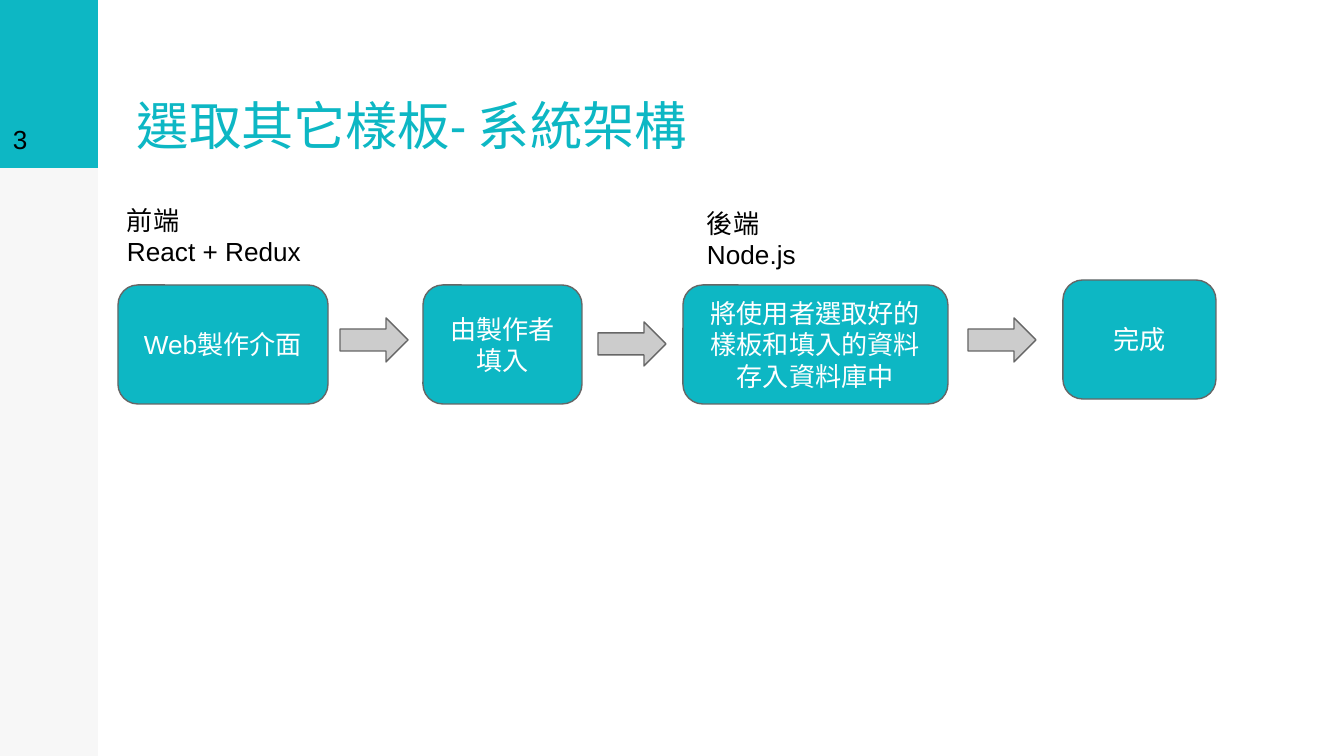
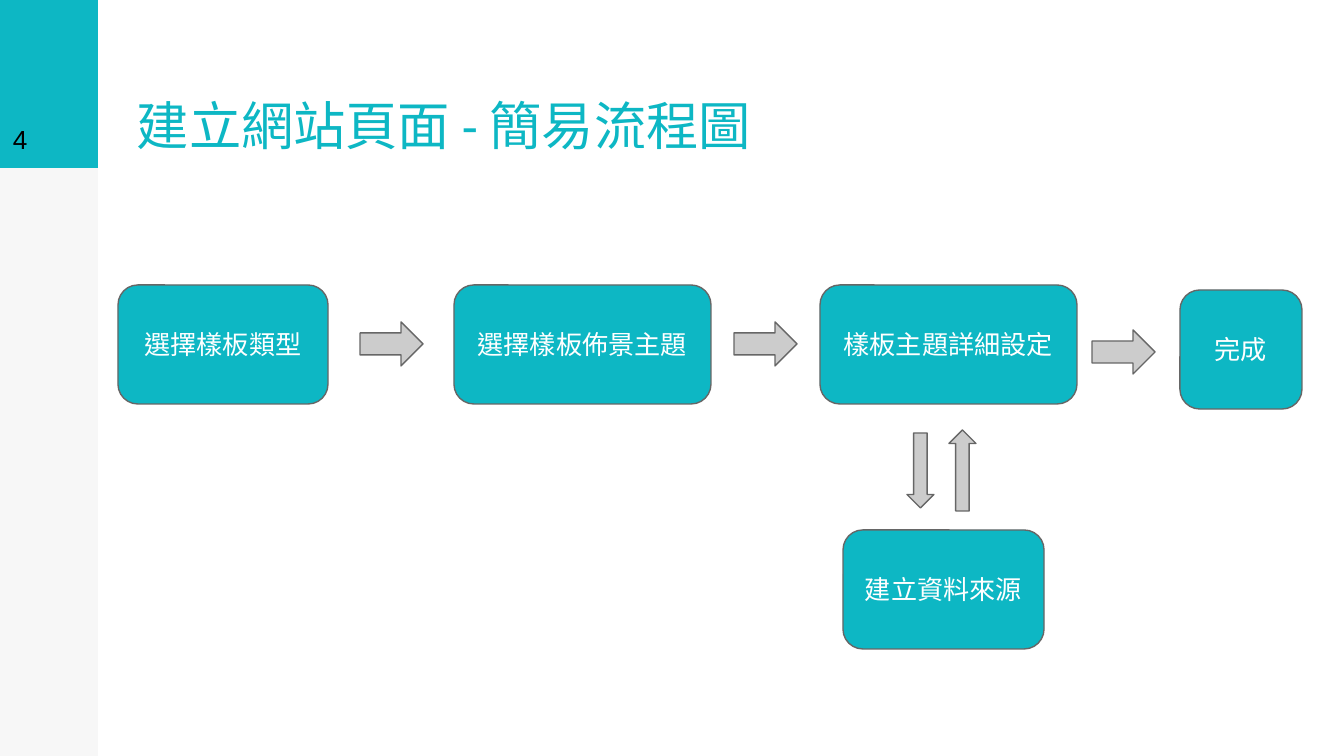
from dataclasses import dataclass

from lxml.etree import SubElement
from pptx import Presentation
from pptx.dml.color import RGBColor
from pptx.enum.lang import MSO_LANGUAGE_ID
from pptx.enum.shapes import MSO_SHAPE
from pptx.enum.text import MSO_ANCHOR, PP_ALIGN
from pptx.oxml.ns import qn
from pptx.util import Emu, Pt

SLIDE_WIDTH, SLIDE_HEIGHT = 1344, 756
EMU_PER_PX = 9144000 / SLIDE_WIDTH


def px(length):
    return Emu(round(length * EMU_PER_PX))


@dataclass(frozen=True)
class Theme:
    teal: str = "0DB7C4"
    white: str = "FFFFFF"
    black: str = "000000"
    arrow: str = "CCCCCC"
    outline: str = "666666"
    body_font: str = "Arial"
    title_font: str = "Calibri"
    body_size: int = 14
    title_size: int = 28
    outline_width: float = 0.75
    sidebar_alpha: int = 3


class FlowDeck:
    """Holds the style and the slide being drawn."""

    SIDEBAR_WIDTH = 98
    BAND_HEIGHT = 168
    STEP_TOP = 285
    STEP_HEIGHT = 119
    ARROW_HEIGHT = 44
    INSET = 13

    def __init__(self, theme):
        self.theme = theme
        self.deck = Presentation()
        self.deck.slide_width = px(SLIDE_WIDTH)
        self.deck.slide_height = px(SLIDE_HEIGHT)
        self.page = None

    def add_page(self, number, title):
        theme = self.theme
        self.page = self.deck.slides.add_slide(self.deck.slide_layouts[6])
        sidebar = self.shape(MSO_SHAPE.RECTANGLE, 0, 0, self.SIDEBAR_WIDTH,
                             SLIDE_HEIGHT, theme.black, outlined=False)
        color = sidebar._element.spPr.find(qn("a:solidFill"))[0]
        SubElement(color, qn("a:alpha"), val=str(theme.sidebar_alpha * 1000))
        band = self.shape(MSO_SHAPE.RECTANGLE, 0, 0, self.SIDEBAR_WIDTH,
                          self.BAND_HEIGHT, theme.teal, outlined=False)
        self.fill_text(band, [str(number)], anchor=MSO_ANCHOR.BOTTOM)
        self.text(124, 1, 809, self.BAND_HEIGHT, [title],
                  anchor=MSO_ANCHOR.BOTTOM, font=theme.title_font,
                  size=theme.title_size, color=theme.teal)

    def shape(self, kind, left, top, width, height, fill, outlined=True):
        shape = self.page.shapes.add_shape(
            kind, px(left), px(top), px(width), px(height))
        shape.shadow.inherit = False
        shape.fill.solid()
        shape.fill.fore_color.rgb = RGBColor.from_string(fill)
        if outlined:
            shape.line.color.rgb = RGBColor.from_string(self.theme.outline)
            shape.line.width = Pt(self.theme.outline_width)
        else:
            shape.line.fill.background()
        return shape

    def text(self, left, top, width, height, lines, **style):
        box = self.page.shapes.add_textbox(
            px(left), px(top), px(width), px(height))
        self.fill_text(box, lines, **style)

    def fill_text(self, box, lines, anchor=MSO_ANCHOR.TOP,
                  align=PP_ALIGN.LEFT, font=None, size=None, color=None):
        theme = self.theme
        font = font or theme.body_font
        frame = box.text_frame
        frame_format = {"word_wrap": True, "vertical_anchor": anchor}
        for side in ("left", "top", "right", "bottom"):
            frame_format[f"margin_{side}"] = px(self.INSET)
        for name, value in frame_format.items():
            setattr(frame, name, value)
        font_format = {
            "name": font,
            "size": Pt(size or theme.body_size),
            "language_id": MSO_LANGUAGE_ID.TRADITIONAL_CHINESE,
        }
        for index, line in enumerate(lines):
            para = frame.add_paragraph() if index else frame.paragraphs[0]
            para.alignment = align
            span = para.add_run()
            span.text = line
            for name, value in font_format.items():
                setattr(span.font, name, value)
            span.font.color.rgb = RGBColor.from_string(color or theme.black)
            SubElement(span._r.rPr, qn("a:ea"), typeface=font)

    def step(self, left, width, label, top=STEP_TOP):
        box = self.shape(MSO_SHAPE.ROUNDED_RECTANGLE, left, top, width,
                         self.STEP_HEIGHT, self.theme.teal)
        self.fill_text(box, [label], anchor=MSO_ANCHOR.MIDDLE,
                       align=PP_ALIGN.CENTER, color=self.theme.white)

    def arrow(self, left, top, width, height=ARROW_HEIGHT,
              kind=MSO_SHAPE.RIGHT_ARROW):
        self.shape(kind, left, top, width, height, self.theme.arrow)

    def save(self):
        self.deck.save("out.pptx")


def draw_architecture(flow):
    flow.add_page(3, "選取其它樣板- 系統架構")
    flow.text(114, 191, 246, 94, ["前端", "React + Redux"])
    flow.text(694, 194, 122, 94, ["後端", "Node.js"])
    flow.step(118, 210, "Web製作介面")
    flow.step(423, 159, "由製作者填入")
    flow.step(683, 265, "將使用者選取好的樣板和填入的資料存入資料庫中")
    flow.step(1063, 153, "完成", top=280)
    for left, top in ((340, 318), (598, 322), (968, 318)):
        flow.arrow(left, top, 68)


def draw_page_creation(flow):
    flow.add_page(4, "建立網站頁面 - 簡易流程圖")
    flow.step(118, 210, "選擇樣板類型")
    flow.step(454, 257, "選擇樣板佈景主題")
    flow.step(820, 257, "樣板主題詳細設定")
    flow.step(1180, 122, "完成", top=290)
    flow.step(843, 201, "建立資料來源", top=530)
    for left, top in ((360, 322), (734, 322), (1092, 330)):
        flow.arrow(left, top, 63)
    flow.arrow(907, 433, 27, 75, MSO_SHAPE.DOWN_ARROW)
    flow.arrow(949, 430, 27, 81, MSO_SHAPE.UP_ARROW)


def main():
    flow = FlowDeck(Theme())
    draw_architecture(flow)
    draw_page_creation(flow)
    flow.save()


if __name__ == "__main__":
    main()
